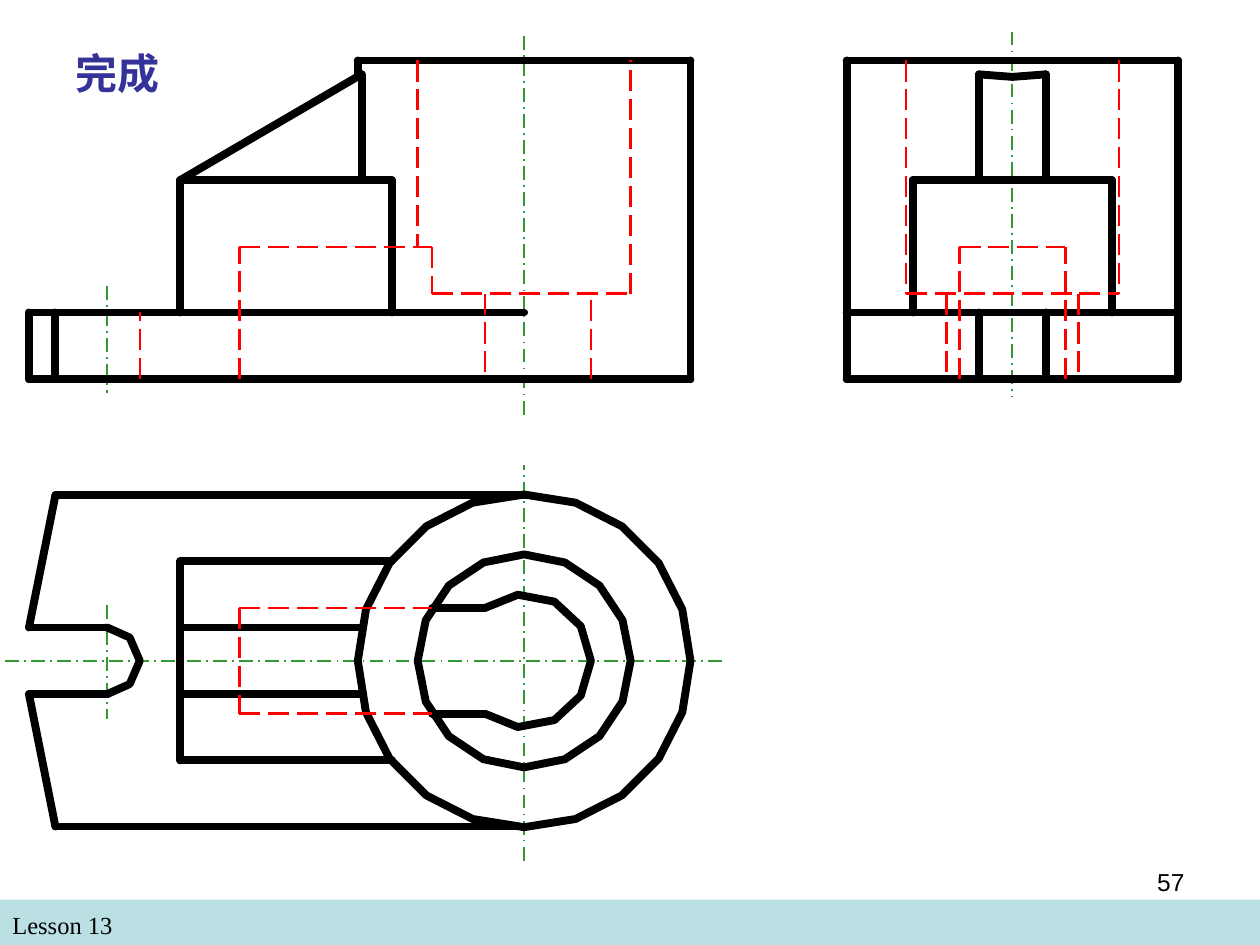
from math import cos, pi, sin

from lxml import etree
from pptx import Presentation
from pptx import util as u
from pptx.dml.color import RGBColor
from pptx.enum import dml, shapes, text
from pptx.oxml.ns import qn

BLACK = RGBColor(0x00, 0x00, 0x00)
RED = RGBColor(0xFF, 0x00, 0x00)
GREEN = RGBColor(0x33, 0x99, 0x33)
NAVY = RGBColor(0x33, 0x33, 0x99)
PALE_TEAL = RGBColor(0xBB, 0xE0, 0xE3)

# Line styles: colour, points, dash
AXIS = (GREEN, 1, dml.MSO_LINE.LONG_DASH_DOT)
VISIBLE = (BLACK, 4.5, None)
HIDDEN = (RED, 1.5, dml.MSO_LINE.LONG_DASH)

# Levels and stations of the part, in inches on the slide
TOP, RIB_TOP, BLOCK_TOP, SLOT_TOP, BORE_FLOOR, BASE_TOP, BASE = (
    0.48, 0.59, 1.43, 1.96, 2.33, 2.48, 3.01)
LEFT, CORNER, NOTCH, NOTCH_END, BLOCK, SLOT = 0.23, 0.44, 0.85, 1.11, 1.43, 1.9
RIB_END, BLOCK_END, SLOT_END, HOLE_LEFT, HOLE_RIGHT = 2.87, 3.11, 3.43, 3.85, 4.69
CENTRE_X, PLAN_Y, SIDE_X = 4.16, 5.245, 8.035
OUTER_R, BORE_R = 1.32, 0.845
# Half widths across the part
HALF_BASE, HALF_BLOCK, HALF_RIB, HALF_SLOT, HALF_HOLE = 1.315, 0.79, 0.265, 0.42, 0.525
CYL_LEFT, CYL_RIGHT = CENTRE_X - OUTER_R, CENTRE_X + OUTER_R
BORE_LEFT, BORE_RIGHT = CENTRE_X - BORE_R, CENTRE_X + BORE_R

axes = [
    [(CENTRE_X, 6.83), (CENTRE_X, 3.69)],
    [(5.73, PLAN_Y), (0, PLAN_Y)],
    [(SIDE_X, 0.25), (SIDE_X, 3.15)],
    [(NOTCH, 4.8), (NOTCH, 5.71)],
    [(CENTRE_X, 3.29), (CENTRE_X, 0.25)],
    [(NOTCH, 2.27), (NOTCH, 3.12)],
]

front_visible = [
    [(CYL_LEFT, TOP), (CYL_RIGHT, TOP)],
    [(LEFT, BASE), (CYL_RIGHT, BASE)],
    [(LEFT, BASE_TOP), (CENTRE_X, BASE_TOP)],
    [(LEFT, BASE_TOP), (LEFT, BASE)],
    [(CORNER, BASE_TOP), (CORNER, BASE)],
    [(BLOCK, BLOCK_TOP), (RIB_END, RIB_TOP)],
    [(BLOCK, BLOCK_TOP), (BLOCK_END, BLOCK_TOP)],
    [(BLOCK, BLOCK_TOP), (BLOCK, BASE_TOP)],
    [(BLOCK_END, BLOCK_TOP), (BLOCK_END, BASE_TOP)],
    [(RIB_END, RIB_TOP), (RIB_END, BLOCK_TOP)],
    [(CYL_LEFT, TOP), (CYL_LEFT, 0.61)],
    [(CYL_RIGHT, TOP), (CYL_RIGHT, BASE)],
]
front_hidden = [
    [(SLOT_END, BORE_FLOOR), (BORE_RIGHT, BORE_FLOOR)],
    [(SLOT, SLOT_TOP), (SLOT_END, SLOT_TOP)],
    [(SLOT, BASE), (SLOT, SLOT_TOP)],
    [(NOTCH_END, BASE), (NOTCH_END, BASE_TOP)],
    [(HOLE_LEFT, BORE_FLOOR), (HOLE_LEFT, BASE)],
    [(BORE_LEFT, TOP), (BORE_LEFT, SLOT_TOP)],
    [(SLOT_END, SLOT_TOP), (SLOT_END, BORE_FLOOR)],
    [(HOLE_RIGHT, BASE), (HOLE_RIGHT, BORE_FLOOR)],
    [(BORE_RIGHT, BORE_FLOOR), (BORE_RIGHT, TOP)],
]

# Plan lines above the axis, as (x, distance from axis); mirrored below it
plan_half_visible = [
    [(CORNER, HALF_BASE), (CENTRE_X, HALF_BASE)],
    [(CORNER, HALF_BASE), (LEFT, HALF_RIB)],
    [(LEFT, HALF_RIB), (NOTCH, HALF_RIB)],
    [(BLOCK, HALF_BLOCK), (BLOCK_END, HALF_BLOCK)],
    [(BLOCK, HALF_RIB), (RIB_END, HALF_RIB)],
    [(SLOT_END, HALF_SLOT), (HOLE_LEFT, HALF_SLOT)],
]
plan_half_hidden = [[(SLOT, HALF_SLOT), (SLOT_END, HALF_SLOT)]]
notch_half = [(NOTCH, HALF_RIB), (1.03, 0.185), (NOTCH_END, 0)]
hole_half = [(HOLE_LEFT, HALF_SLOT), (4.11, 0.525), (4.4, 0.47), (4.61, 0.275), (HOLE_RIGHT, 0)]

# Side lines, as (distance from axis, y); mirrored to the other side
side_half_visible = [
    [(HALF_BASE, TOP), (HALF_BASE, BASE)],
    [(HALF_BLOCK, BLOCK_TOP), (HALF_BLOCK, BASE_TOP)],
    [(HALF_RIB, RIB_TOP), (HALF_RIB, BLOCK_TOP)],
    [(HALF_RIB, BASE_TOP), (HALF_RIB, BASE)],
]
side_half_hidden = [
    [(HALF_SLOT, BASE), (HALF_SLOT, SLOT_TOP)],
    [(BORE_R, TOP), (BORE_R, BORE_FLOOR)],
    [(HALF_HOLE, BORE_FLOOR), (HALF_HOLE, BASE)],
]
side_levels_visible = [(HALF_BASE, TOP), (HALF_BLOCK, BLOCK_TOP),
                       (HALF_BASE, BASE_TOP), (HALF_BASE, BASE)]
side_levels_hidden = [(HALF_SLOT, SLOT_TOP), (BORE_R, BORE_FLOOR)]


def mirror_plan(lines):
    return [[(x, PLAN_Y + sign * d) for x, d in line] for line in lines for sign in (-1, 1)]


def mirror_side(lines):
    return [[(SIDE_X + sign * d, y) for d, y in line] for line in lines for sign in (-1, 1)]


def side_spans(levels):
    return [[(SIDE_X - half, y), (SIDE_X + half, y)] for half, y in levels]


def whole_outline(half):
    """Join a half outline that ends on the plan axis with its mirror image."""
    upper, lower = mirror_plan([half])
    return upper + lower[-2::-1]


def polygon(radius, sides):
    angles = [2 * pi * i / sides for i in range(sides + 1)]
    return [(CENTRE_X + radius * cos(a), PLAN_Y + radius * sin(a)) for a in angles]


visible = (
    mirror_plan(plan_half_visible)
    + [[(BLOCK, PLAN_Y - HALF_BLOCK), (BLOCK, PLAN_Y + HALF_BLOCK)],
       whole_outline(notch_half), whole_outline(hole_half),
       polygon(OUTER_R, 20), polygon(BORE_R, 16)]
    + mirror_side(side_half_visible) + side_spans(side_levels_visible)
    + [[(SIDE_X - HALF_RIB, RIB_TOP), (SIDE_X, 0.61), (SIDE_X + HALF_RIB, RIB_TOP)]]
    + front_visible
)
hidden = (
    [[(SLOT, PLAN_Y - HALF_SLOT), (SLOT, PLAN_Y + HALF_SLOT)]]
    + mirror_plan(plan_half_hidden)
    + mirror_side(side_half_hidden) + side_spans(side_levels_hidden)
    + front_hidden
)


def draw(slide, points, style):
    colour, weight, dash = style
    emu = [(u.Inches(x), u.Inches(y)) for x, y in points]
    if len(emu) == 2:
        stroke = slide.shapes.add_connector(shapes.MSO_CONNECTOR.STRAIGHT, *emu[0], *emu[1])
        etree.SubElement(stroke.element.spPr, qn("a:effectLst"))
    else:
        builder = slide.shapes.build_freeform(*emu[0])
        builder.add_line_segments(emu[1:], close=emu[0] == emu[-1])
        stroke = builder.convert_to_shape()
        stroke.shadow.inherit = False
        stroke.fill.background()
    stroke.line.color.rgb = colour
    stroke.line.width = u.Pt(weight)
    if dash:
        stroke.line.dash_style = dash
    else:
        stroke.line._get_or_add_ln().set("cap", "rnd")


def write(box, at, words, font_name, size, colour, align=text.PP_ALIGN.LEFT, bold=False):
    box.left, box.top, box.width, box.height = [u.Inches(v) for v in at]
    frame = box.text_frame
    frame.text = words
    frame.word_wrap = True
    frame.auto_size = text.MSO_AUTO_SIZE.NONE
    frame.vertical_anchor = text.MSO_ANCHOR.TOP
    paragraph = frame.paragraphs[0]
    paragraph.alignment = align
    font = paragraph.font
    font.name, font.size, font.bold = font_name, u.Pt(size), bold
    font.color.rgb = colour


def main():
    deck = Presentation()
    deck.slide_width, deck.slide_height = u.Inches(10), u.Inches(7.5)
    slide = deck.slides.add_slide(deck.slide_layouts[5])

    band = slide.shapes.add_shape(shapes.MSO_SHAPE.RECTANGLE, 0, u.Inches(7.14),
                                  deck.slide_width, u.Inches(0.36))
    band.shadow.inherit = False
    band.fill.solid()
    band.fill.fore_color.rgb = PALE_TEAL
    band.line.fill.background()

    for lines, style in ((axes, AXIS), (visible, VISIBLE), (hidden, HIDDEN)):
        for points in lines:
            draw(slide, points, style)

    lesson, number = [slide.shapes.add_textbox(0, 0, 0, 0) for _ in range(2)]
    write(lesson, (0, 7.17, 4.83, 0.34), "Lesson 13", "Times New Roman", 14, BLACK)
    write(number, (7.17, 6.83, 2.33, 0.52), "57", "Arial", 14, BLACK, text.PP_ALIGN.RIGHT)
    write(slide.shapes.title, (0.5, 0.33, 2.25, 0.5), "完成", "Times New Roman", 24, NAVY, bold=True)
    deck.save("out.pptx")


if __name__ == "__main__":
    main()
